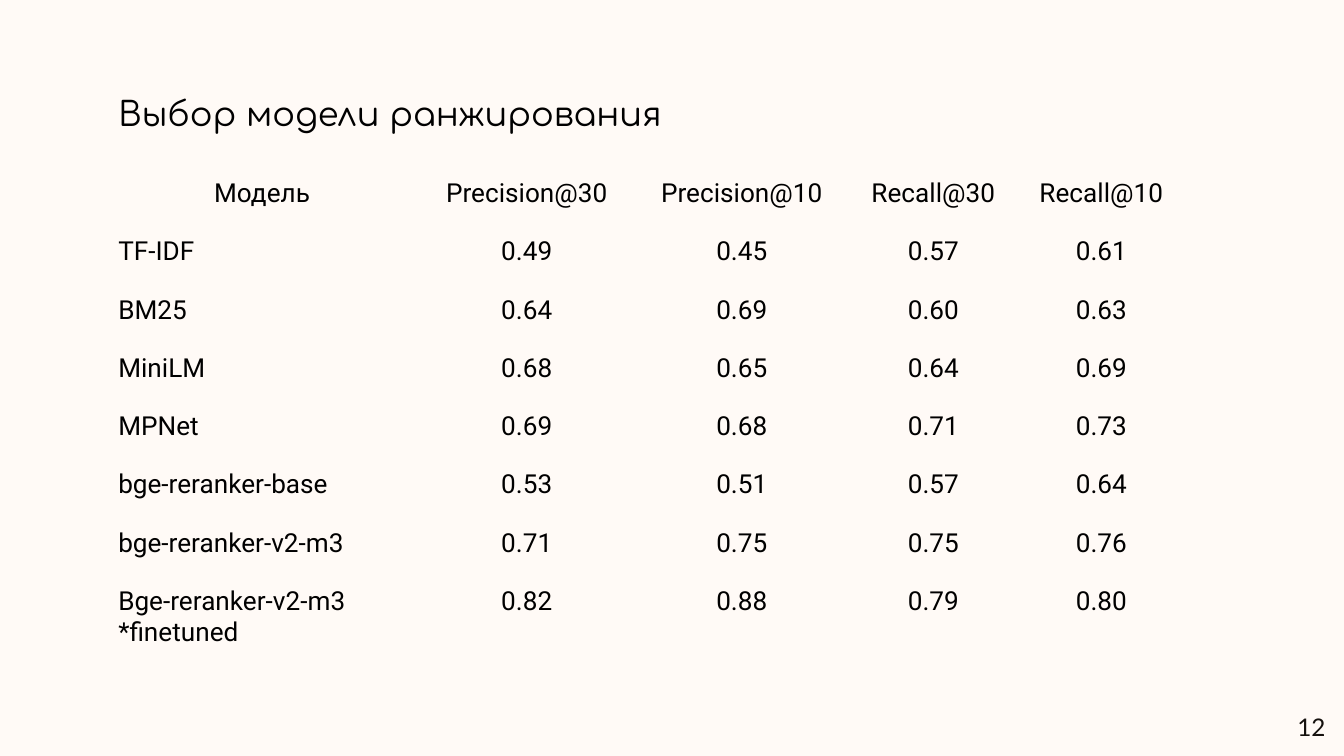
import pptx
import pptx.util
import pptx.dml.color
import pptx.enum.text
import pptx.oxml.ns

Inches = pptx.util.Inches
Align = pptx.enum.text.PP_ALIGN
Anchor = pptx.enum.text.MSO_ANCHOR

CREAM = pptx.dml.color.RGBColor(0xFF, 0xFA, 0xF6)
BLACK = pptx.dml.color.RGBColor(0x00, 0x00, 0x00)
INK = pptx.dml.color.RGBColor(0x15, 0x11, 0x0E)

WIDTH = Inches(10)
HEIGHT = WIDTH * 9 // 16
LEFT = Inches(0.78)
TITLE_TOP, TITLE_HEIGHT = Inches(0.59), Inches(0.6)
INSET = Inches(0.1)
COLUMN_WIDTHS = [2.34, 1.6, 1.6, 1.25, 1.25]
ROW_HEIGHT = Inches(0.4)  # a minimum: rows grow to fit their text
PLAIN_TABLE_STYLE = "{2D5ABB26-0587-4C30-8999-92F81FD0307C}"

HEADER = ["Модель", "Precision@30", "Precision@10", "Recall@30", "Recall@10"]
SCORES = [
    ["TF-IDF", "0.49", "0.45", "0.57", "0.61"],
    ["BM25", "0.64", "0.69", "0.60", "0.63"],
    ["MiniLM", "0.68", "0.65", "0.64", "0.69"],
    ["MPNet", "0.69", "0.68", "0.71", "0.73"],
    ["bge-reranker-base", "0.53", "0.51", "0.57", "0.64"],
    ["bge-reranker-v2-m3", "0.71", "0.75", "0.75", "0.76"],
    ["Bge-reranker-v2-m3\n*finetuned", "0.82", "0.88", "0.79", "0.80"],
]


def set_insets(holder):
    holder.margin_left = holder.margin_right = INSET
    holder.margin_top = holder.margin_bottom = INSET


def write(frame, text, font_name, size, color, align):
    paragraph = frame.paragraphs[0]
    paragraph.text = text
    paragraph.alignment = align
    paragraph.font.name = font_name
    paragraph.font.size = pptx.util.Pt(size)
    paragraph.font.color.rgb = color
    return paragraph


def add_title(slide, text):
    title = slide.shapes.title
    title.left, title.top = LEFT, TITLE_TOP
    title.width, title.height = WIDTH - 2 * LEFT, TITLE_HEIGHT
    frame = title.text_frame
    set_insets(frame)
    frame.word_wrap = True
    frame.auto_size = pptx.enum.text.MSO_AUTO_SIZE.NONE
    frame.vertical_anchor = Anchor.TOP
    write(frame, text, "Comfortaa", 18, BLACK, Align.LEFT)


def add_page_number(slide, number):
    width, height = Inches(0.6), Inches(0.43)
    box = slide.shapes.add_textbox(Inches(9.36), HEIGHT - height, width, height)
    frame = box.text_frame
    set_insets(frame)
    frame.word_wrap = True
    frame.vertical_anchor = Anchor.MIDDLE
    write(frame, number, "Lato", 13, INK, Align.RIGHT)


def add_score_table(slide, rows):
    table = slide.shapes.add_table(
        len(rows), len(COLUMN_WIDTHS), LEFT, TITLE_TOP + TITLE_HEIGHT,
        Inches(sum(COLUMN_WIDTHS)), ROW_HEIGHT * len(rows)).table

    # Plain style: no borders, no banding
    table.first_row = table.horz_banding = False
    style = table._tbl.tblPr.find(pptx.oxml.ns.qn("a:tableStyleId"))
    style.text = PLAIN_TABLE_STYLE

    for column, width in zip(table.columns, COLUMN_WIDTHS):
        column.width = Inches(width)

    for r, values in enumerate(rows):
        for c, value in enumerate(values):
            cell = table.cell(r, c)
            cell.fill.background()
            set_insets(cell)
            is_model_name = r > 0 and c == 0
            align = Align.LEFT if is_model_name else Align.CENTER
            paragraph = write(cell.text_frame, value, "Roboto", 14, BLACK, align)
            if r == 0:
                paragraph.line_spacing = 1.15


def main():
    deck = pptx.Presentation()
    deck.slide_width, deck.slide_height = WIDTH, HEIGHT
    slide = deck.slides.add_slide(deck.slide_layouts.get_by_name("Title Only"))
    slide.background.fill.solid()
    slide.background.fill.fore_color.rgb = CREAM

    add_title(slide, "Выбор модели ранжирования")
    add_page_number(slide, "12")
    add_score_table(slide, [HEADER] + SCORES)
    deck.save("out.pptx")


if __name__ == "__main__":
    main()
